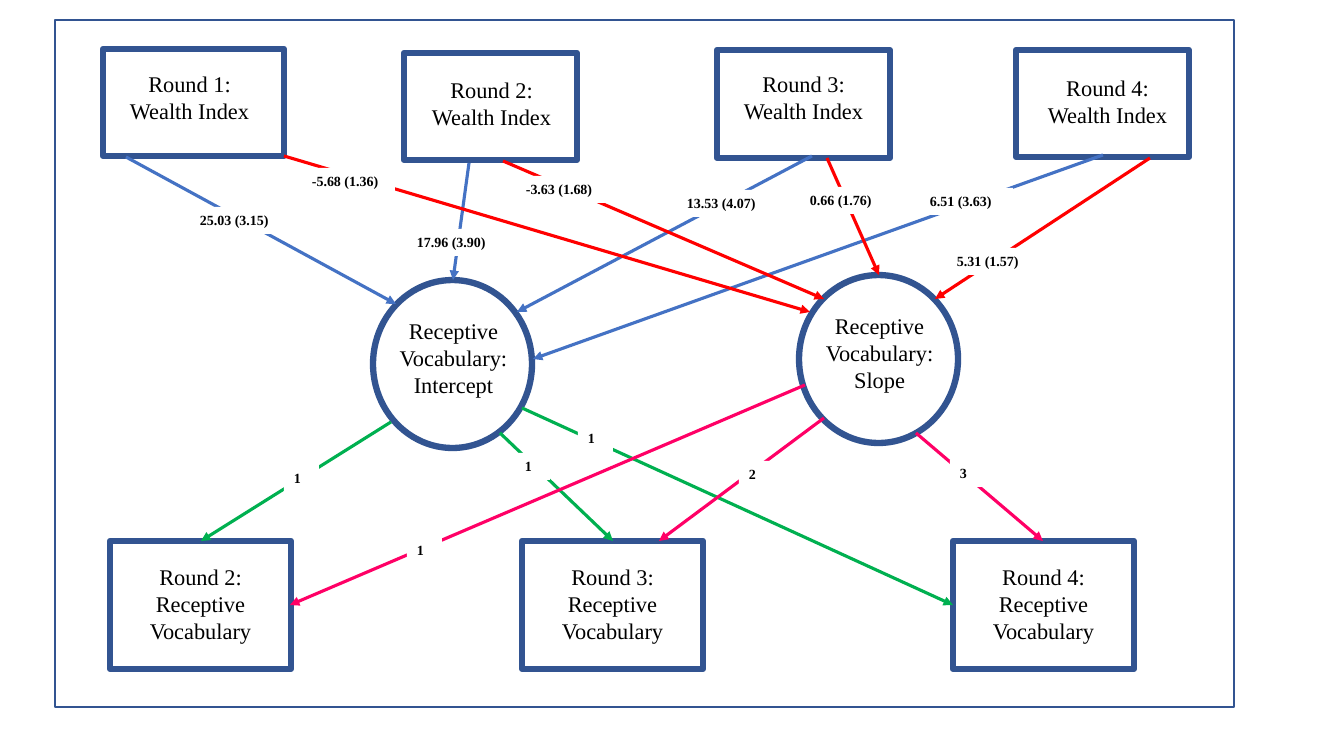
from pptx import Presentation
from pptx import util as u
from pptx.dml.color import RGBColor
from pptx.enum import shapes, text
from pptx.oxml import parse_xml
from pptx.oxml.ns import nsdecls, qn

PIXEL = 914400 / 100.8
FONT = "Times New Roman"
NAVY = RGBColor(0x32, 0x54, 0x91)
BLUE = RGBColor(0x44, 0x72, 0xC4)
RED = RGBColor(0xFF, 0, 0)
GREEN = RGBColor(0, 0xB0, 0x50)
PINK = RGBColor(0xFF, 0, 0x66)
WHITE = RGBColor(0xFF, 0xFF, 0xFF)
BLACK = RGBColor(0, 0, 0)

RECTANGLE = shapes.MSO_SHAPE.RECTANGLE
OVAL = shapes.MSO_SHAPE.OVAL

# Content: lengths in pixels
FRAME = (55, 20, 1179, 687)
TEXT_WIDTH = 159

# Wealth boxes: name, box, text position
WEALTH = [
    ("Round 1: Wealth Index", (103, 49, 181, 107), (110, 65)),
    ("Round 2: Wealth Index", (404, 53, 173, 107), (412, 71)),
    ("Round 3: Wealth Index", (717, 50, 173, 108), (724, 65)),
    ("Round 4: Wealth Index", (1016, 50, 173, 107), (1028, 69)),
]
# Growth factors: name, left, top
FACTORS = [
    ("Receptive Vocabulary: Intercept", 373, 280),
    ("Receptive Vocabulary: Slope", 799, 275),
]
# Outcome boxes: name, left
OUTCOMES = [
    ("Round 2: Receptive Vocabulary", 110),
    ("Round 3: Receptive Vocabulary", 522),
    ("Round 4: Receptive Vocabulary", 953),
]
OUTCOME_TOP = 541

# Paths by colour: start, end, coefficient, label position
PATHS = {
    BLUE: [
        ((126, 157), (396, 304), "25.03 (3.15)", (190, 207)),
        ((469, 163), (453, 280), "17.96 (3.90)", (407, 229)),
        ((812, 156), (517, 312), "13.53 (4.07)", (677, 190)),
        ((1103, 155), (533, 359), "6.51 (3.63)", (920, 188)),
    ],
    RED: [
        ((284, 156), (810, 312), "-5.68 (1.36)", (302, 168)),
        ((503, 161), (824, 299), "-3.63 (1.68)", (516, 176)),
        ((827, 158), (879, 275), "0.66 (1.76)", (800, 187)),
        ((1150, 158), (935, 299), "5.31 (1.57)", (947, 248)),
    ],
    GREEN: [
        ((391, 422), (201, OUTCOME_TOP), "1", (284, 465)),
        ((500, 433), (613, OUTCOME_TOP), "1", (515, 453)),
        ((522, 408), (953, 605), "1", (578, 425)),
    ],
    PINK: [
        ((805, 385), (290, 605), "1", (407, 537)),
        ((824, 418), (659, OUTCOME_TOP), "2", (739, 461)),
        ((916, 433), (1043, OUTCOME_TOP), "3", (950, 460)),
    ],
}


def emu(*pixels):
    return [u.Emu(round(pixel * PIXEL)) for pixel in pixels]


def add_outline(kind, box, weight=4.5):
    shape = slide.shapes.add_shape(kind, *emu(*box))
    shape.shadow.inherit = False
    shape.fill.solid()
    shape.fill.fore_color.rgb = WHITE
    shape.line.color.rgb = NAVY
    shape.line.width = u.Pt(weight)


def add_text(words, box, size=16, bold=False, align=text.PP_ALIGN.CENTER, fill=None):
    shape = slide.shapes.add_textbox(*emu(*box))
    if fill is not None:
        shape.fill.solid()
        shape.fill.fore_color.rgb = fill
    shape.text_frame.word_wrap = True
    paragraph = shape.text_frame.paragraphs[0]
    paragraph.alignment = align
    run = paragraph.add_run()
    run.text = words
    run.font.name = FONT
    run.font.size = u.Pt(size)
    run.font.bold = bold
    run.font.color.rgb = BLACK


def add_arrow(start, end, color):
    arrow = slide.shapes.add_connector(
        shapes.MSO_CONNECTOR.STRAIGHT, *emu(*start, *end))
    arrow.line.color.rgb = color
    arrow.line.width = u.Pt(2.25)
    properties = arrow._element.spPr
    properties.find(qn("a:ln")).append(
        parse_xml(f'<a:tailEnd {nsdecls("a")} type="triangle"/>'))
    properties.append(parse_xml(f'<a:effectLst {nsdecls("a")}/>'))


presentation = Presentation()
presentation.slide_width, presentation.slide_height = emu(1344, 756)
slide = presentation.slides.add_slide(presentation.slide_layouts[6])

# Frame and nodes
add_outline(RECTANGLE, FRAME, weight=1)
for name, left in OUTCOMES:
    add_outline(RECTANGLE, (left, OUTCOME_TOP, 181, 128))
    add_text(name, (left + 11, OUTCOME_TOP + 17, TEXT_WIDTH, 92))
for name, box, position in WEALTH:
    add_outline(RECTANGLE, box)
    add_text(name, (*position, TEXT_WIDTH, 65))
for name, left, top in FACTORS:
    add_outline(OVAL, (left, top, 159, 168))
    add_text(name, (left + 1, top + 32, TEXT_WIDTH, 92))

# Arrows, then their coefficients on top
for color, paths in PATHS.items():
    for start, end, _, _ in paths:
        add_arrow(start, end, color)
for paths in PATHS.values():
    for _, _, coefficient, position in paths:
        width = 35 if len(coefficient) == 1 else 93
        add_text(coefficient, (*position, width, 27), size=10, bold=True,
                 align=text.PP_ALIGN.LEFT, fill=WHITE)

presentation.save("out.pptx")
